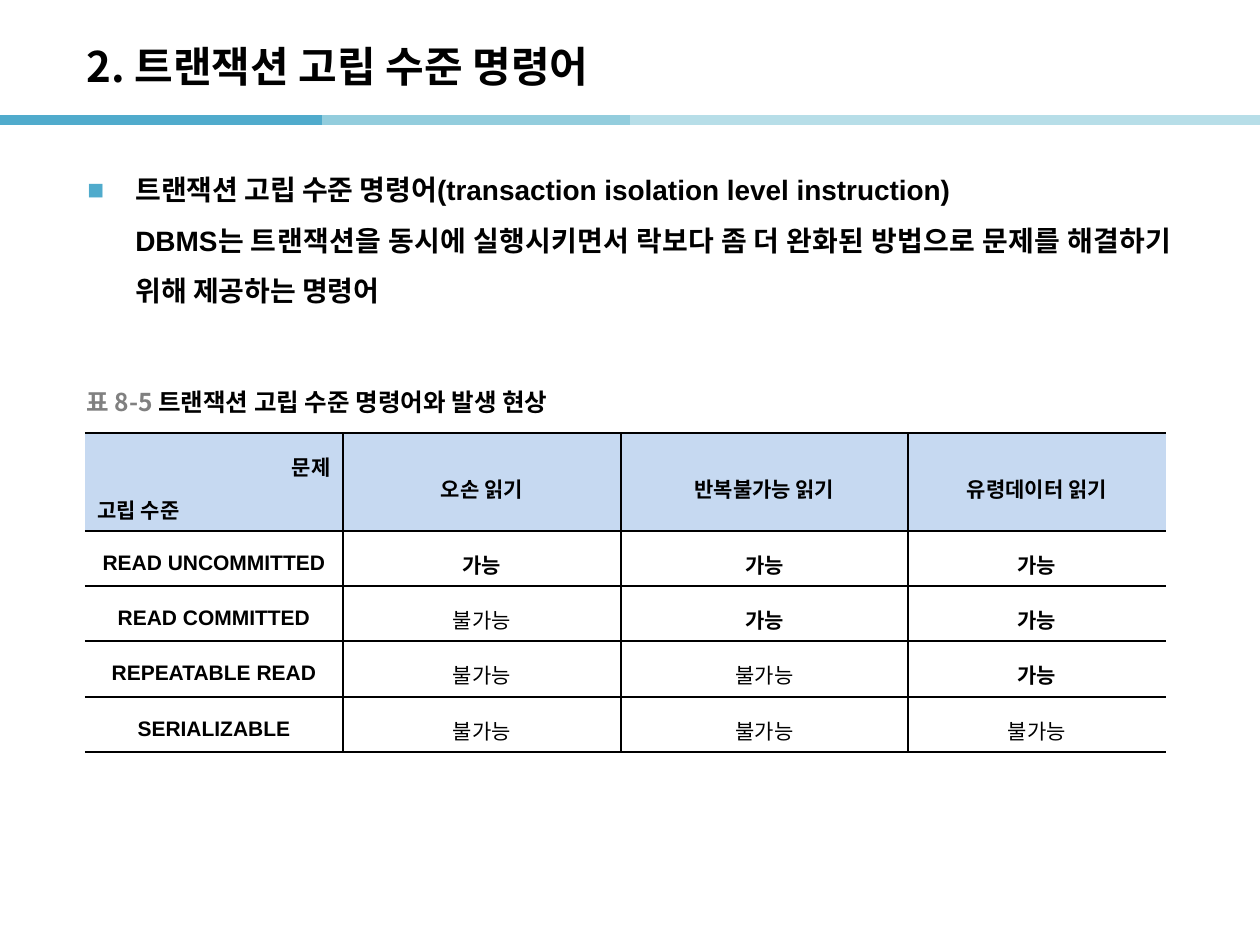
from lxml import etree
from pptx import Presentation
from pptx.dml.color import RGBColor
from pptx.enum.shapes import MSO_CONNECTOR
from pptx.enum.text import MSO_ANCHOR, PP_ALIGN
from pptx.oxml.ns import qn
from pptx.util import Pt

PX = 914400 // 126
STRAIGHT = MSO_CONNECTOR.STRAIGHT
MIDDLE, TOP = MSO_ANCHOR.MIDDLE, MSO_ANCHOR.TOP
LEFT, CENTER = PP_ALIGN.LEFT, PP_ALIGN.CENTER
RIGHT, JUSTIFY = PP_ALIGN.RIGHT, PP_ALIGN.JUSTIFY
KOREAN = "Noto Sans CJK KR"
COLORS = {
    "text": "000000",
    "number": "808080",
    "accent": "50ABCC",
    "accent_mid": "93CDDD",
    "accent_pale": "B7DEE8",
    "header": "C6D9F1",
    "cell": "FFFFFF",
}


def rgb(name):
    return RGBColor.from_string(COLORS[name])


def format_paragraph(paragraph, size, align=LEFT, spacing=None, latin="Arial", bold=True):
    """Format a whole paragraph, with pair kerning off."""
    paragraph.alignment = align
    paragraph.line_spacing = spacing
    font = paragraph.font
    font.size, font.bold, font.name = Pt(size), bold, latin
    font.color.rgb = rgb("text")
    font._element.set("kern", "0")
    east_asian = etree.SubElement(font._element, qn("a:ea"))
    east_asian.set("typeface", KOREAN)


prs = Presentation()
prs.slide_width, prs.slide_height = 1260 * PX, 945 * PX
slide = prs.slides.add_slide(prs.slide_layouts[5])

# Divider under the title
divider = [(0, "accent"), (322, "accent_mid"), (630, "accent_pale"), (938, "accent_pale")]
for start, color in divider:
    segment = slide.shapes.add_connector(
        STRAIGHT, start * PX, 120 * PX, (start + 322) * PX, 120 * PX)
    segment.line.color.rgb = rgb(color)
    segment.line.width = Pt(6)
    etree.SubElement(segment._element.spPr, qn("a:effectLst"))

# Title
title = slide.shapes.title
title.left, title.top, title.width, title.height = 74 * PX, 28 * PX, 1042 * PX, 76 * PX
title.text_frame.text = "2. 트랜잭션 고립 수준 명령어"
title.text_frame.vertical_anchor = MIDDLE
format_paragraph(title.text_frame.paragraphs[0], 24, latin=KOREAN)

# Definition
definition = slide.shapes.add_textbox(74 * PX, 150 * PX, 1111 * PX, 753 * PX).text_frame
definition.word_wrap = True
definition.text = (
    "트랜잭션 고립 수준 명령어(transaction isolation level instruction)\n"
    "DBMS는 트랜잭션을 동시에 실행시키면서 락보다 좀 더 완화된 방법으로 문제를 "
    "해결하기 위해 제공하는 명령어"
)
term, meaning = definition.paragraphs
for paragraph, indent in ((term, -48), (meaning, 0)):
    properties = paragraph._p.get_or_add_pPr()
    properties.set("marL", str(49 * PX))
    properties.set("indent", str(indent * PX))
bullet = term._p.get_or_add_pPr()
bullet_color = etree.SubElement(bullet, qn("a:buClr"))
etree.SubElement(bullet_color, qn("a:srgbClr")).set("val", COLORS["accent"])
etree.SubElement(bullet, qn("a:buFont")).set("typeface", "Arial")
etree.SubElement(bullet, qn("a:buChar")).set("char", "■")
for paragraph in (term, meaning):
    format_paragraph(paragraph, 16, JUSTIFY, 1.5)

# Isolation level table
rows = [
    ["문제\n고립 수준", "오손 읽기", "반복불가능 읽기", "유령데이터 읽기"],
    ["READ UNCOMMITTED", "가능", "가능", "가능"],
    ["READ COMMITTED", "불가능", "가능", "가능"],
    ["REPEATABLE READ", "불가능", "불가능", "가능"],
    ["SERIALIZABLE", "불가능", "불가능", "불가능"],
]
column_widths = [258, 278, 287, 258]
row_heights = [98, 55, 55, 56, 55]
table = slide.shapes.add_table(
    len(rows), len(column_widths), 85 * PX, 433 * PX,
    sum(column_widths) * PX, sum(row_heights) * PX).table
table.first_row = table.horz_banding = False
for column, width in zip(table.columns, column_widths):
    column.width = width * PX
for row, height in zip(table.rows, row_heights):
    row.height = height * PX

last = len(column_widths) - 1
for r, labels in enumerate(rows):
    for c, label in enumerate(labels):
        cell = table.cell(r, c)
        cell.text = label
        in_corner = r == c == 0
        cell.vertical_anchor = MIDDLE if (r == 0) != (c == 0) else TOP
        for i, paragraph in enumerate(cell.text_frame.paragraphs):
            align = (RIGHT, LEFT)[i] if in_corner else CENTER
            format_paragraph(paragraph, 12, align, 1.4, bold=label != "불가능")
        borders = {"lnL": c > 0, "lnR": c < last, "lnT": True, "lnB": True}
        for side, visible in borders.items():
            border = etree.SubElement(cell._tc.get_or_add_tcPr(), qn(f"a:{side}"))
            border.set("w", str(Pt(1)))
            if visible:
                border_fill = etree.SubElement(border, qn("a:solidFill"))
                etree.SubElement(border_fill, qn("a:srgbClr")).set("val", COLORS["text"])
            else:
                etree.SubElement(border, qn("a:noFill"))
        cell.fill.solid()
        cell.fill.fore_color.rgb = rgb("header" if r == 0 else "cell")

# Table caption
caption = slide.shapes.add_textbox(74 * PX, 382 * PX, 510 * PX, 39 * PX).text_frame
caption.word_wrap = False
caption.vertical_anchor = MIDDLE
caption_line = caption.paragraphs[0]
format_paragraph(caption_line, 14, latin=KOREAN)
number = caption_line.add_run()
number.text = "표 8-5 "
number.font.color.rgb = rgb("number")
caption_line.add_run().text = "트랜잭션 고립 수준 명령어와 발생 현상"

prs.save("out.pptx")
